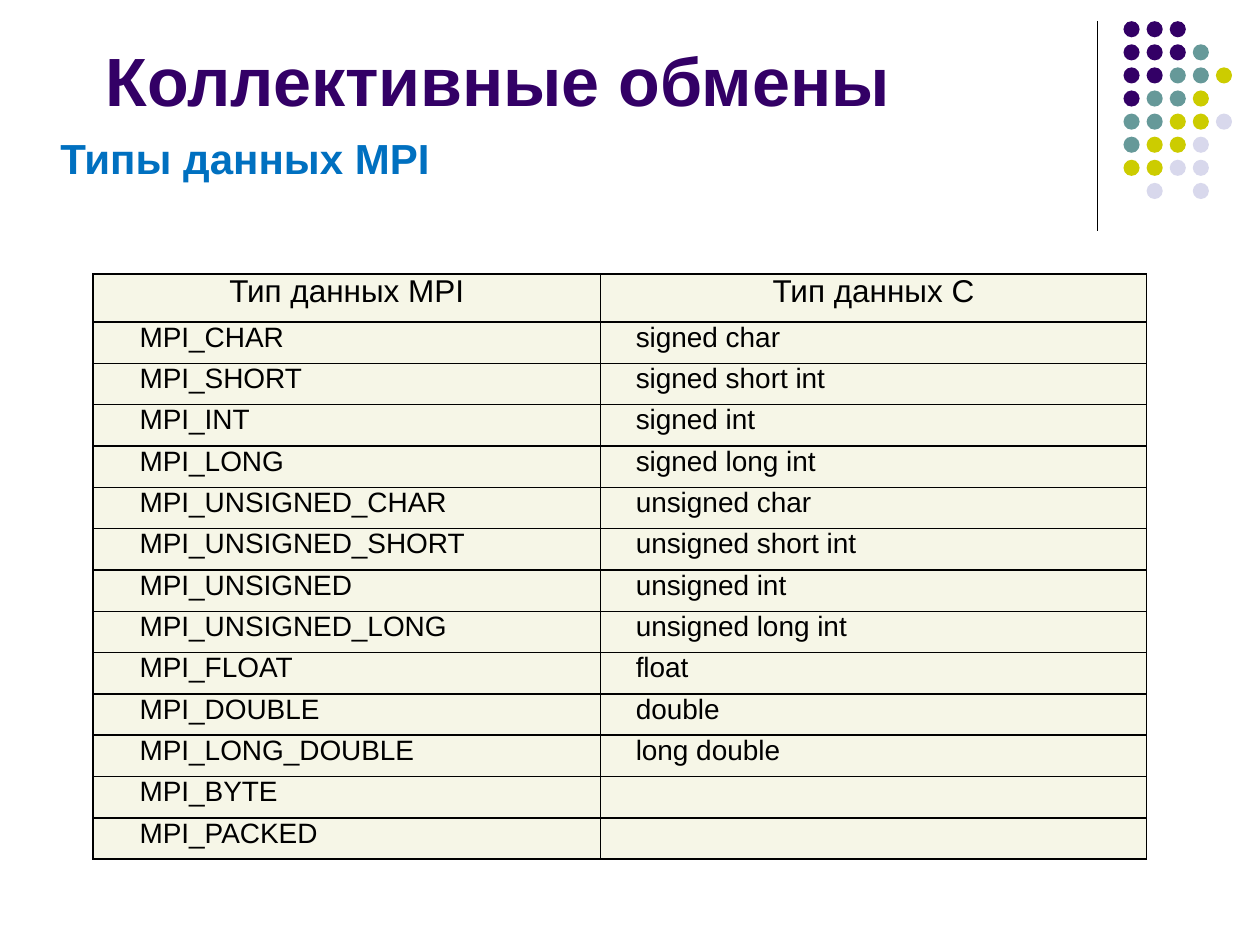
from lxml import etree
from pptx import Presentation
from pptx import util as u
from pptx.dml.color import RGBColor
from pptx.enum import shapes, text
from pptx.oxml import ns

BLACK = RGBColor(0x00, 0x00, 0x00)
PURPLE = RGBColor(0x33, 0x00, 0x66)
TEAL = RGBColor(0x66, 0x99, 0x99)
YELLOW = RGBColor(0xCC, 0xCC, 0x00)
LAVENDER = RGBColor(0xD8, 0xD8, 0xEC)
BLUE = RGBColor(0x00, 0x70, 0xC0)
CREAM = RGBColor(0xF6, 0xF6, 0xE7)

DOT_COLORS = {"P": PURPLE, "T": TEAL, "Y": YELLOW, "L": LAVENDER}
DOT_ROWS = ["PPP", "PPPT", "PPTTY", "PTTY", "TTYYL", "TYYL", "YYLL", " L L"]

TYPE_ROWS = [
    ("Тип данных MPI", "Тип данных С"),
    ("MPI_CHAR", "signed char"),
    ("MPI_SHORT", "signed short int"),
    ("MPI_INT", "signed int"),
    ("MPI_LONG", "signed long int"),
    ("MPI_UNSIGNED_CHAR", "unsigned char"),
    ("MPI_UNSIGNED_SHORT", "unsigned short int"),
    ("MPI_UNSIGNED", "unsigned int"),
    ("MPI_UNSIGNED_LONG", "unsigned long int"),
    ("MPI_FLOAT", "float"),
    ("MPI_DOUBLE", "double"),
    ("MPI_LONG_DOUBLE", "long double"),
    ("MPI_BYTE", ""),
    ("MPI_PACKED", ""),
]


def apply(target, values):
    for name, value in values.items():
        setattr(target, name, value)


class SlideBuilder:
    font_name = "Arial"
    cell_margins = {"margin_left": u.Pt(5), "margin_right": u.Pt(5),
                    "margin_top": 0, "margin_bottom": 0}

    def __init__(self, slide):
        self.slide = slide

    def add_text(self, paragraph, content, size, color, bold=False):
        run = paragraph.add_run()
        run.text = content
        apply(run.font, {"name": self.font_name, "size": u.Pt(size), "bold": bold})
        run.font.color.rgb = color

    def text_box(self, box, content, size, color, **frame_format):
        shape = self.slide.shapes.add_textbox(*map(u.Pt, box))
        apply(shape.text_frame, {"word_wrap": True, **frame_format})
        self.add_text(shape.text_frame.paragraphs[0], content, size, color, bold=True)

    def line(self, start, end, color, width):
        connector = self.slide.shapes.add_connector(
            shapes.MSO_CONNECTOR.STRAIGHT, *map(u.Pt, start + end))
        connector.line.color.rgb = color
        connector.line.width = u.Pt(width)
        etree.SubElement(connector._element.spPr, ns.qn("a:effectLst"))

    def dot(self, left, top, diameter, color):
        shape = self.slide.shapes.add_shape(
            shapes.MSO_SHAPE.OVAL, *map(u.Pt, (left, top, diameter, diameter)))
        shape.shadow.inherit = False
        shape.fill.solid()
        shape.fill.fore_color.rgb = color
        shape.line.fill.background()

    def borders(self, cell, color, width):
        properties = cell._tc.get_or_add_tcPr()
        for position, side in enumerate(("lnL", "lnR", "lnT", "lnB")):
            border = etree.Element(ns.qn(f"a:{side}"), w=str(u.Pt(width)))
            fill = etree.SubElement(border, ns.qn("a:solidFill"))
            etree.SubElement(fill, ns.qn("a:srgbClr"), val=str(color))
            properties.insert(position, border)

    def cell(self, cell, content, size, alignment, indent):
        apply(cell, self.cell_margins)
        cell.fill.solid()
        cell.fill.fore_color.rgb = CREAM
        self.borders(cell, BLACK, 1)
        if content:
            paragraph = cell.text_frame.paragraphs[0]
            paragraph.alignment = alignment
            if indent:
                paragraph._p.get_or_add_pPr().set("indent", str(u.Pt(indent)))
            self.add_text(paragraph, content, size, BLACK)

    def table(self, left, top, widths, heights, rows):
        table = self.slide.shapes.add_table(
            len(rows), len(widths), u.Pt(left), u.Pt(top),
            u.Pt(sum(widths)), u.Pt(sum(heights))).table
        for column, width in zip(table.columns, widths):
            column.width = u.Pt(width)
        for row, height in zip(table.rows, heights):
            row.height = u.Pt(height)
        align = text.PP_ALIGN
        header_styles = [(18, align.CENTER, 0)] * 2
        body_styles = [(16, align.JUSTIFY, 21.6), (16, align.LEFT, 15.12)]
        for r, row in enumerate(rows):
            styles = body_styles if r else header_styles
            for c, (content, style) in enumerate(zip(row, styles)):
                self.cell(table.cell(r, c), content, *style)


def main():
    presentation = Presentation()
    presentation.slide_width, presentation.slide_height = u.Pt(720), u.Pt(540)
    builder = SlideBuilder(presentation.slides.add_slide(presentation.slide_layouts[6]))

    # Corner decoration: rule and dot grid
    builder.line((627, 12), (627, 132), BLACK, 0.75)
    pitch = 13.2
    for r, row in enumerate(DOT_ROWS):
        for c, key in enumerate(row):
            if key in DOT_COLORS:
                builder.dot(642 + c * pitch, 12.1 + r * pitch, 9.2, DOT_COLORS[key])

    # Headings
    builder.text_box((53.3, 9.4, 477.4, 62.6), "Коллективные обмены", 39, PURPLE,
                     vertical_anchor=text.MSO_ANCHOR.BOTTOM)
    builder.text_box((27.4, 72, 548.6, 36.7), "Типы данных MPI", 24, BLUE,
                     auto_size=text.MSO_AUTO_SIZE.SHAPE_TO_FIT_TEXT)

    # Table of data types
    heights = [27.4] + [23.62] * (len(TYPE_ROWS) - 1)
    builder.table(53.2, 156.6, (290, 312), heights, TYPE_ROWS)

    presentation.save("out.pptx")


if __name__ == "__main__":
    main()
